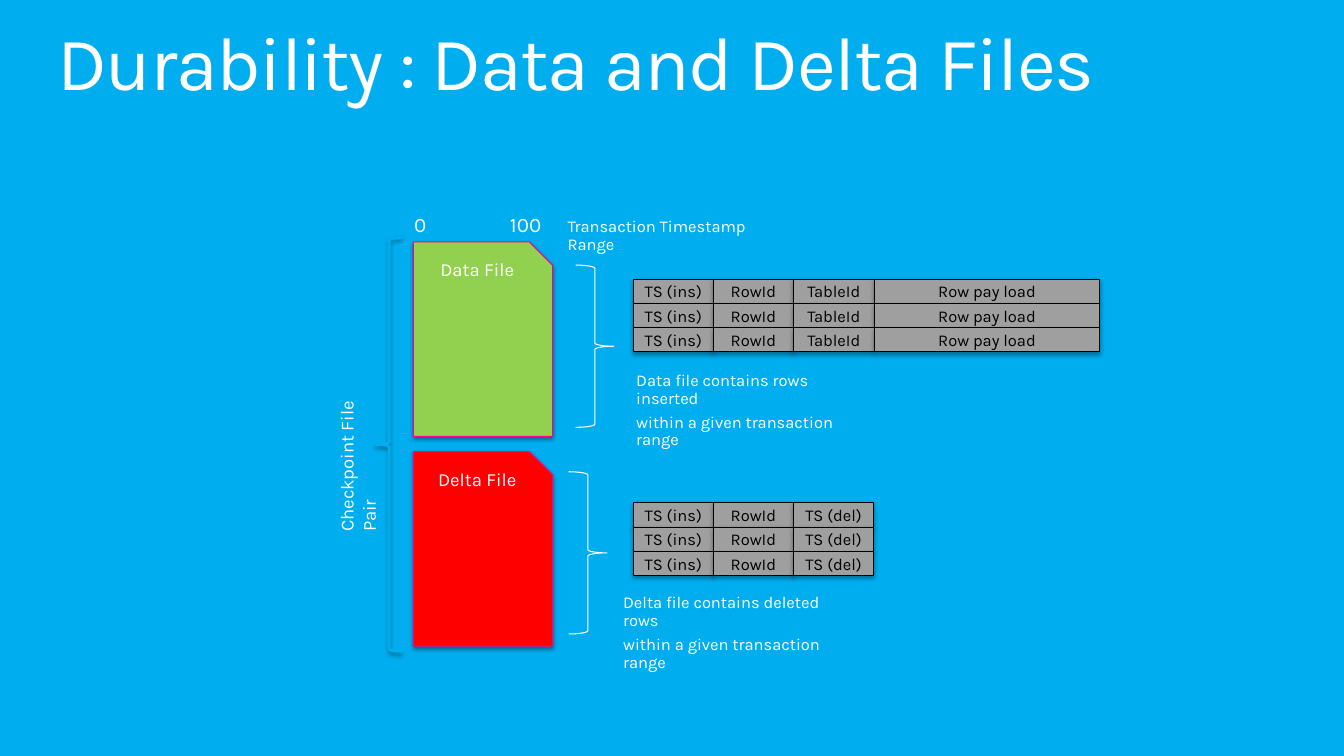
from pptx import Presentation
from pptx.dml.color import RGBColor
from pptx.enum import shapes, text
from pptx.oxml import parse_xml
from pptx.oxml.ns import nsdecls
from pptx.util import Inches, Pt

SKY = RGBColor(0x00, 0xAE, 0xEF)
WHITE = RGBColor(0xFF, 0xFF, 0xFF)
BLACK = RGBColor(0x00, 0x00, 0x00)
GREEN = RGBColor(0x92, 0xD0, 0x50)
RED = RGBColor(0xFF, 0x00, 0x00)
PINK = RGBColor(0xF9, 0x00, 0x94)
GRAY = RGBColor(0x9F, 0x9F, 0x9F)
SHAPE = shapes.MSO_SHAPE
ROW_HEIGHT = 0.24


def write(sp, *lines, size=11.8, color=WHITE, align=text.PP_ALIGN.LEFT,
          anchor=text.MSO_ANCHOR.TOP, inset=(0.1, 0.05), wrap=True,
          spacing=None, after=None, tracking=None):
    """Fill a shape with one formatted paragraph per line."""
    tf = sp.text_frame
    tf.auto_size = text.MSO_AUTO_SIZE.NONE
    tf.word_wrap = wrap
    tf.vertical_anchor = anchor
    tf.margin_left = tf.margin_right = Inches(inset[0])
    tf.margin_top = tf.margin_bottom = Inches(inset[1])
    for i, line in enumerate(lines):
        p = tf.paragraphs[0] if i == 0 else tf.add_paragraph()
        p.alignment = align
        if spacing:
            p.line_spacing = spacing
        if after:
            p.space_after = Pt(after)
        r = p.add_run()
        r.text = line
        r.font.name = "Karla"
        r.font.size = Pt(size)
        r.font.color.rgb = color
        if tracking:
            r.font._element.set("spc", str(tracking))


def add_label(s, box, *lines, **fmt):
    """Add a text box at box and write the lines in it."""
    sp = s.shapes.add_textbox(*map(Inches, box))
    write(sp, *lines, **fmt)
    return sp


def add_note(s, box, *lines):
    """Add an explanatory note with wide insets and tight lines."""
    add_label(s, box, *lines, inset=(0.15, 0.12), spacing=0.9, after=4.4)


def add_part(s, kind, box, line, fill=None, width=0.75, shadow=None):
    """Add a preset shape; shadow is its opacity in percent and distance."""
    sp = s.shapes.add_shape(kind, *map(Inches, box))
    sp.shadow.inherit = False
    if fill is None:
        sp.fill.background()
    else:
        sp.fill.solid()
        sp.fill.fore_color.rgb = fill
    sp.line.color.rgb = line
    sp.line.width = Pt(width)
    if shadow:
        opacity, distance = shadow
        sp._element.spPr.find("./{*}effectLst").append(parse_xml(
            f'<a:outerShdw {nsdecls("a")} blurRad="{Pt(3.1)}" '
            f'dist="{Pt(distance)}" dir="5400000" rotWithShape="0">'
            f'<a:srgbClr val="000000"><a:alpha val="{opacity * 1000}"/>'
            '</a:srgbClr></a:outerShdw>'))
    return sp


def add_title(s, box, title):
    """Place and format the title placeholder."""
    sp = s.shapes.title
    sp.left, sp.top, sp.width, sp.height = map(Inches, box)
    write(sp, title, size=54, inset=(0, 0), spacing=0.9, tracking=-100)


def add_file(s, box, name, color):
    """Draw one file with a snipped corner and its name."""
    sp = add_part(s, SHAPE.SNIP_1_RECTANGLE, box, PINK, color, shadow=(38, 1.6))
    write(sp, name, size=13.2, align=text.PP_ALIGN.CENTER)


def add_checkpoint_pair(s, box):
    """Draw the data and delta files with their range and pair brace."""
    x, y, w, h = box
    file_height = 1.93
    add_file(s, (x, y, w, file_height), "Data File", GREEN)
    add_file(s, (x, y + h - file_height, w, file_height), "Delta File", RED)
    add_label(s, (x - 0.09, y - 0.35, 0.32, 0.35), "0", size=14.7, wrap=False)
    add_label(s, (x + 0.86, y - 0.35, 0.54, 0.35), "100", size=14.7, wrap=False)
    add_note(s, (x + w, y - 0.35, 2.53, 0.42), "Transaction Timestamp Range")
    add_part(s, SHAPE.LEFT_BRACE, (x - 0.37, y - 0.04, 0.26, h + 0.09), SKY,
             width=2, shadow=(38, 1.6))
    sp = add_label(s, (x - 1.58, y + 1.89, 1.84, 0.33),
                   "Checkpoint File Pair", size=13.2)
    sp.rotation = 270


def add_records(s, left, top, columns, rows=3):
    """Draw rows of record cells from (field, width) columns."""
    for row in range(rows):
        x = left
        for field, width in columns:
            box = (x, top + row * ROW_HEIGHT, width, ROW_HEIGHT)
            sp = add_part(s, SHAPE.RECTANGLE, box, BLACK, GRAY, shadow=(35, 1.8))
            write(sp, field, color=BLACK, align=text.PP_ALIGN.CENTER,
                  anchor=text.MSO_ANCHOR.MIDDLE, inset=(0, 0))
            x += width


def add_contents(s, brace_at, records_at, note_at, columns, note):
    """Draw a file's brace, its records and the note below them."""
    add_part(s, SHAPE.RIGHT_BRACE, (*brace_at, 0.38, 1.61), WHITE)
    add_records(s, *records_at, columns)
    add_note(s, (*note_at, 2.62, 0.65), note, "within a given transaction range")


def main():
    """Build and save the slide."""
    prs = Presentation()
    prs.slide_width, prs.slide_height = Inches(13.33), Inches(7.5)
    s = prs.slides.add_slide(prs.slide_layouts[5])
    s.background.fill.solid()
    s.background.fill.fore_color.rgb = SKY
    add_title(s, (0.57, 0.25, 12.2, 0.82), "Durability : Data and Delta Files")
    add_checkpoint_pair(s, (4.1, 2.4, 1.38, 4.01))
    key = [("TS (ins)", 0.795), ("RowId", 0.795)]
    add_contents(s, (5.71, 2.63), (6.28, 2.77), (6.16, 3.57),
                 key + [("TableId", 0.8), ("Row pay load", 2.24)],
                 "Data file contains rows inserted")
    add_contents(s, (5.64, 4.68), (6.28, 4.99), (6.03, 5.78),
                 key + [("TS (del)", 0.795)],
                 "Delta file contains deleted rows")
    prs.save("out.pptx")


if __name__ == "__main__":
    main()
